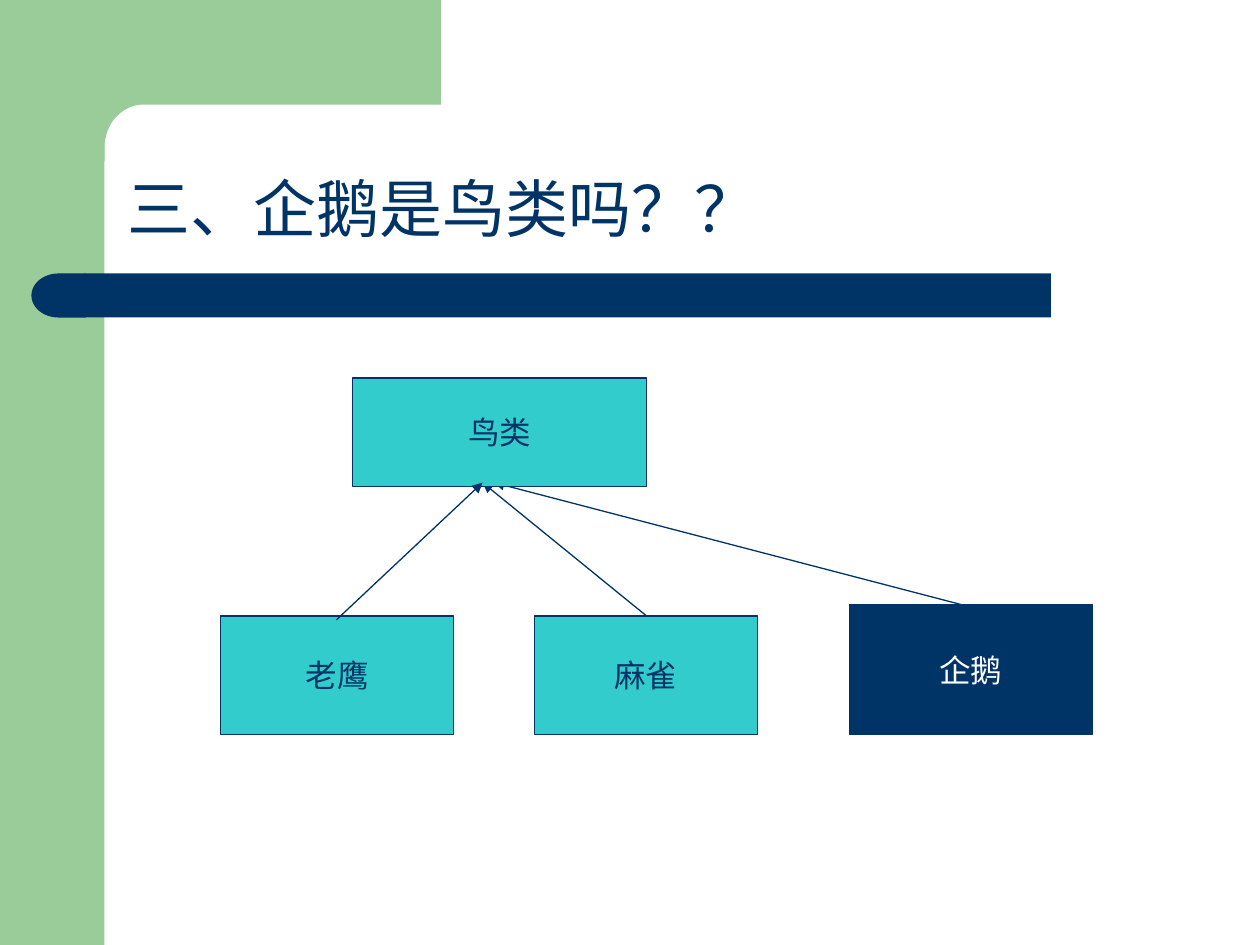
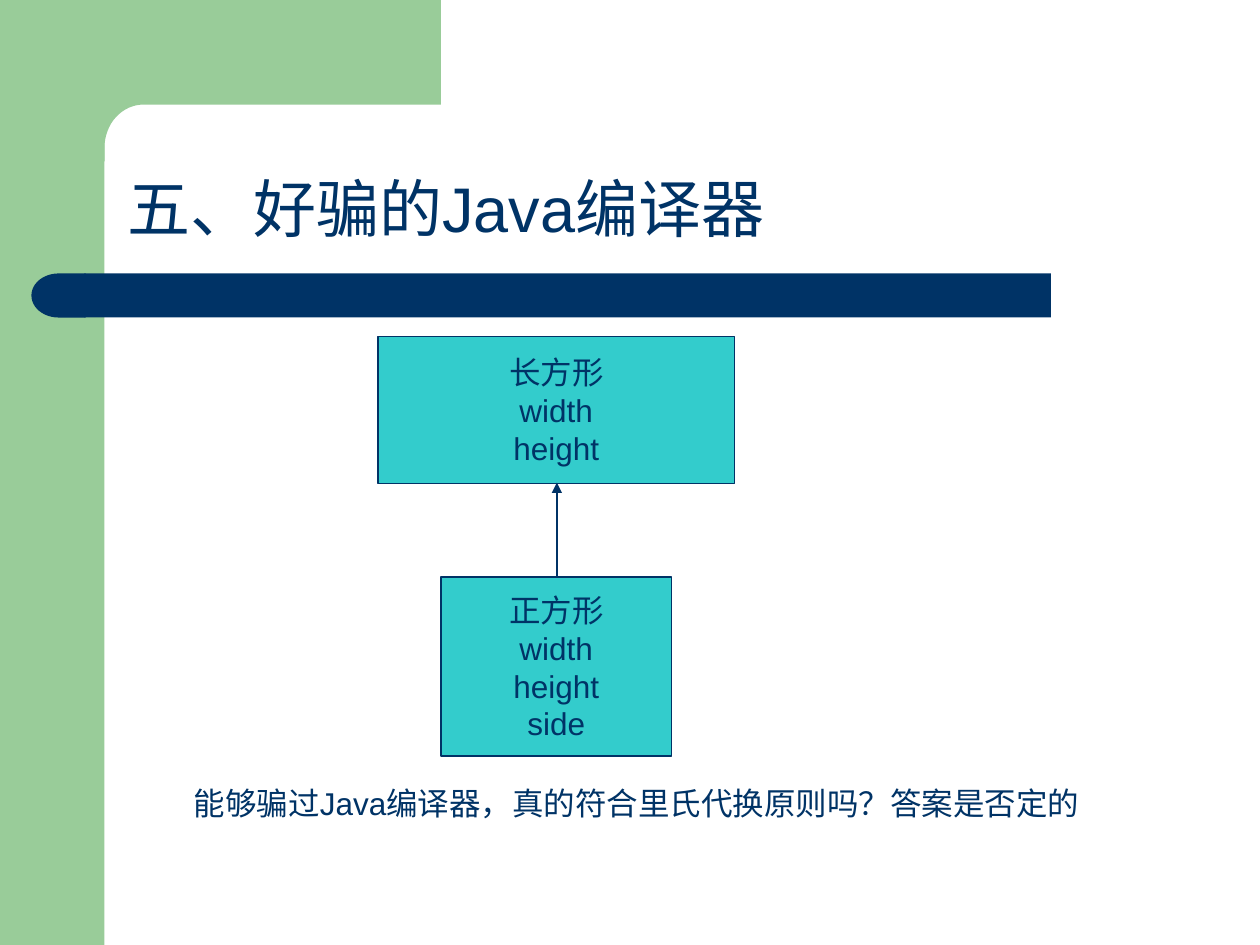
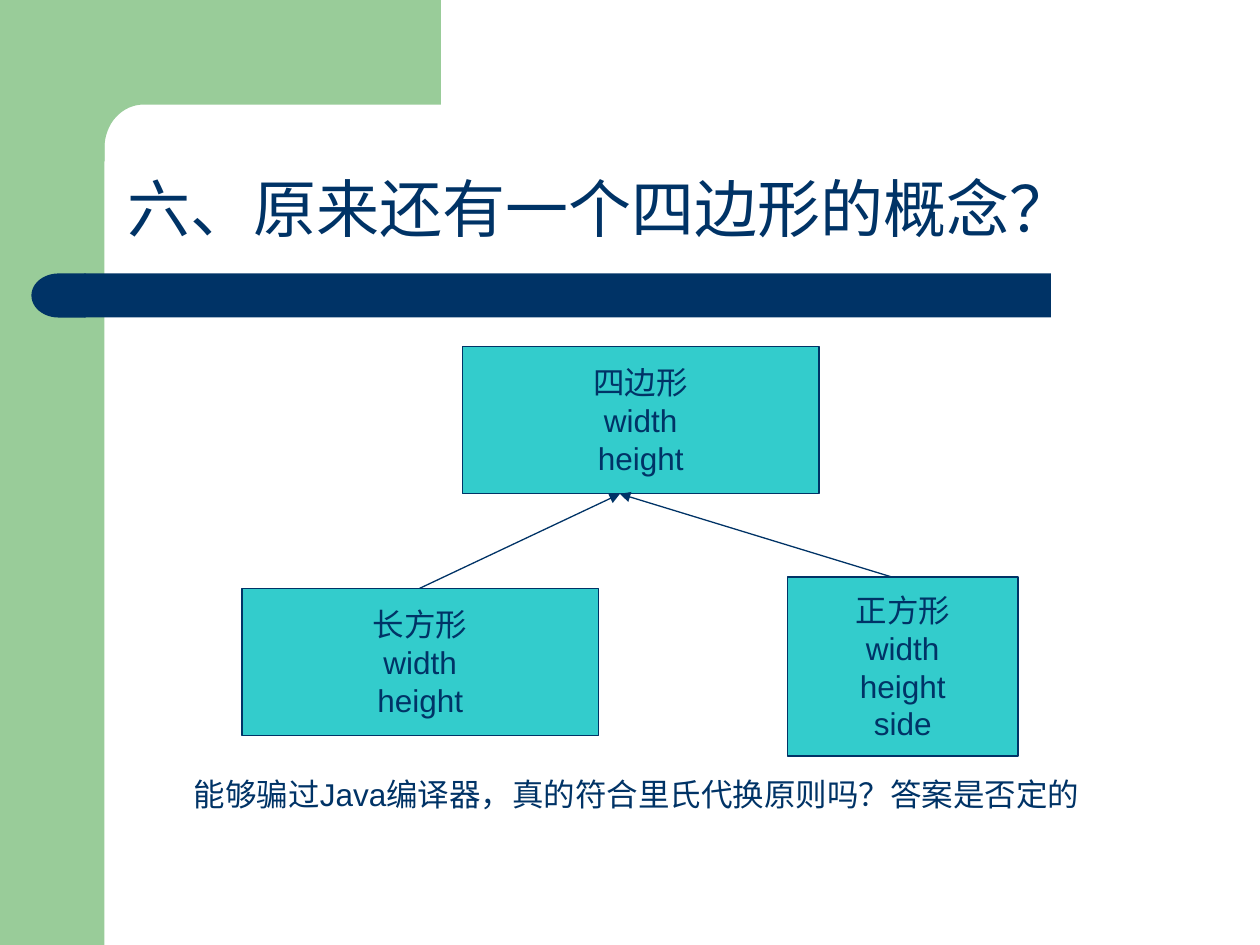
"""Builds three slides on the substitution principle, with class diagrams."""
from collections import namedtuple
from math import cos, pi, sin

from lxml import etree
from pptx import Presentation
from pptx.dml.color import RGBColor
from pptx.enum.shapes import MSO_CONNECTOR, MSO_SHAPE
from pptx.enum.text import MSO_ANCHOR, MSO_AUTO_SIZE, PP_ALIGN
from pptx.oxml.ns import qn
from pptx.util import Inches, Pt

RECTANGLE, DELAY = MSO_SHAPE.RECTANGLE, MSO_SHAPE.FLOWCHART_DELAY
STRAIGHT = MSO_CONNECTOR.STRAIGHT
MIDDLE, BOTTOM = MSO_ANCHOR.MIDDLE, MSO_ANCHOR.BOTTOM
CENTER, LEFT = PP_ALIGN.CENTER, PP_ALIGN.LEFT
GROW = MSO_AUTO_SIZE.SHAPE_TO_FIT_TEXT

COLORS = {"navy": "003366", "green": "99CC99", "teal": "33CCCC", "white": "FFFFFF"}
FONT = "Arial"
QUESTION = "能够骗过Java编译器，真的符合里氏代换原则吗？答案是否定的"
RECTANGLE_LINES = ["长方形", "width", "height"]
SQUARE_LINES = ["正方形", "width", "height", "side"]
WIDE, TALL = (2.83, 1.17), (1.83, 1.42)

Node = namedtuple("Node", "lines place size fill ink", defaults=("teal", "navy"))
Arrow = namedtuple("Arrow", "start end")


def rgb(name):
    """Return the named palette colour."""
    return RGBColor.from_string(COLORS[name])


def paint(shape, fill, line=None):
    """Give a shape a flat fill and an optional thin outline."""
    shape.shadow.inherit = False
    shape.fill.solid()
    shape.fill.fore_color.rgb = rgb(fill)
    if line:
        shape.line.color.rgb = rgb(line)
        shape.line.width = Pt(0.75)
    else:
        shape.line.fill.background()


def write(frame, lines, size, ink, align=LEFT):
    """Fill a text frame with one paragraph per line and return them."""
    frame.text = "\n".join(lines)
    for paragraph in frame.paragraphs:
        paragraph.alignment = align
        paragraph.font.name = FONT
        paragraph.font.size = Pt(size)
        paragraph.font.color.rgb = rgb(ink)
    return frame.paragraphs


def add_block(slide, kind, box, fill, line=None):
    """Add a painted preset shape in the box."""
    block = slide.shapes.add_shape(kind, *map(Inches, box))
    paint(block, fill, line)
    return block


def add_corner(slide, left, width, band, height, edge):
    """Add the top band, which meets the side band in a rounded inner corner."""
    across, down = 0.31, 0.34
    curve = [(edge + across * (1 - sin(step * pi / 32)),
              band + down * (1 - cos(step * pi / 32))) for step in range(17)]
    outline = [(left + width, 0), (left + width, band), *curve,
               (edge, height), (left, height), (left, 0)]
    points = [(Inches(x), Inches(y)) for x, y in outline]
    builder = slide.shapes.build_freeform(*points[0], scale=1.0)
    builder.add_line_segments(points[1:], close=True)
    paint(builder.convert_to_shape(), "green")


def add_frame(slide, title):
    """Add the green bands, the navy title rule and the title."""
    side = 0.83
    add_block(slide, RECTANGLE, (0, 0, side, 7.5), "green")
    add_corner(slide, 0.5, 3, 0.83, 1.28, side)
    add_block(slide, RECTANGLE, (0.67, 2.17, 7.67, 0.35), "navy")
    cap = add_block(slide, DELAY, (0.25, 2.17, 0.43, 0.35), "navy")
    cap._element.spPr.xfrm.set("flipH", "1")
    heading = slide.shapes.add_textbox(*map(Inches, (0.91, 0.91, 8.51, 1.09))).text_frame
    heading.word_wrap = True
    heading.vertical_anchor = BOTTOM
    write(heading, [title], 36, "navy")[0].line_spacing = 0.9


def add_node(slide, origin, node):
    """Add a class box, placed relative to the origin."""
    left, top = (base + shift for base, shift in zip(origin, node.place))
    block = add_block(slide, RECTANGLE, (left, top, *node.size), node.fill, "navy")
    block.text_frame.word_wrap = False
    block.text_frame.vertical_anchor = MIDDLE
    write(block.text_frame, node.lines, 18, node.ink, CENTER)


def add_arrow(slide, origin, arrow):
    """Add an inheritance arrow, placed relative to the origin."""
    ends = [Inches(base + shift) for point in arrow for base, shift in zip(origin, point)]
    connector = slide.shapes.add_connector(STRAIGHT, *ends)
    connector.line.color.rgb = rgb("navy")
    connector.line.width = Pt(0.75)
    etree.SubElement(connector.line._get_or_add_ln(), qn("a:tailEnd"), type="triangle")
    etree.SubElement(connector._element.spPr, qn("a:effectLst"))


def add_diagram(slide, origin, parts):
    """Add class boxes and arrows from back to front."""
    for part in parts:
        add_part = add_node if isinstance(part, Node) else add_arrow
        add_part(slide, origin, part)


def add_question(slide, top):
    """Add the closing question at the given height."""
    frame = slide.shapes.add_textbox(*map(Inches, (1.44, top, 7.35, 0.4))).text_frame
    frame.word_wrap = False
    frame.auto_size = GROW
    write(frame, [QUESTION], 18, "navy")


def birds(slide):
    """Show the bird classes, with the penguin set apart."""
    add_frame(slide, "三、企鹅是鸟类吗？？")
    add_diagram(slide, (1.75, 3), [
        Arrow((6, 1.83), (2.17, 0.83)),
        Arrow((3.42, 1.92), (2.08, 0.83)),
        Node(["企鹅"], (4.99, 1.8), (1.93, 1.03), "navy", "white"),
        Node(["麻雀"], (2.49, 1.89), (1.77, 0.94)),
        Node(["老鹰"], (0, 1.89), (1.85, 0.94)),
        Node(["鸟类"], (1.05, 0), (2.33, 0.86)),
        Arrow((0.92, 1.92), (2.08, 0.83)),
    ])


def square_as_rectangle(slide):
    """Show the square as a subclass of the rectangle."""
    add_frame(slide, "五、好骗的Java编译器")
    add_diagram(slide, (3, 2.67), [
        Node(RECTANGLE_LINES, (0, 0), WIDE),
        Node(SQUARE_LINES, (0.5, 1.91), TALL),
        Arrow((1.42, 1.91), (1.42, 1.16)),
    ])
    add_question(slide, 6.17)


def quadrilaterals(slide):
    """Show the rectangle and the square under a common parent."""
    add_frame(slide, "六、原来还有一个四边形的概念？")
    add_diagram(slide, (1.92, 2.75), [
        Node(RECTANGLE_LINES, (0, 1.92), WIDE),
        Node(SQUARE_LINES, (4.33, 1.83), TALL),
        Node(["四边形", "width", "height"], (1.75, 0), WIDE),
        Arrow((1.41, 1.92), (3, 1.17)),
        Arrow((5.16, 1.83), (3, 1.17)),
    ])
    add_question(slide, 6.1)


def main():
    """Build the slides and save them."""
    deck = Presentation()
    deck.slide_width, deck.slide_height = Inches(10), Inches(7.5)
    blank = deck.slide_layouts[6]
    for build in (birds, square_as_rectangle, quadrilaterals):
        build(deck.slides.add_slide(blank))
    deck.save("out.pptx")


if __name__ == "__main__":
    main()
